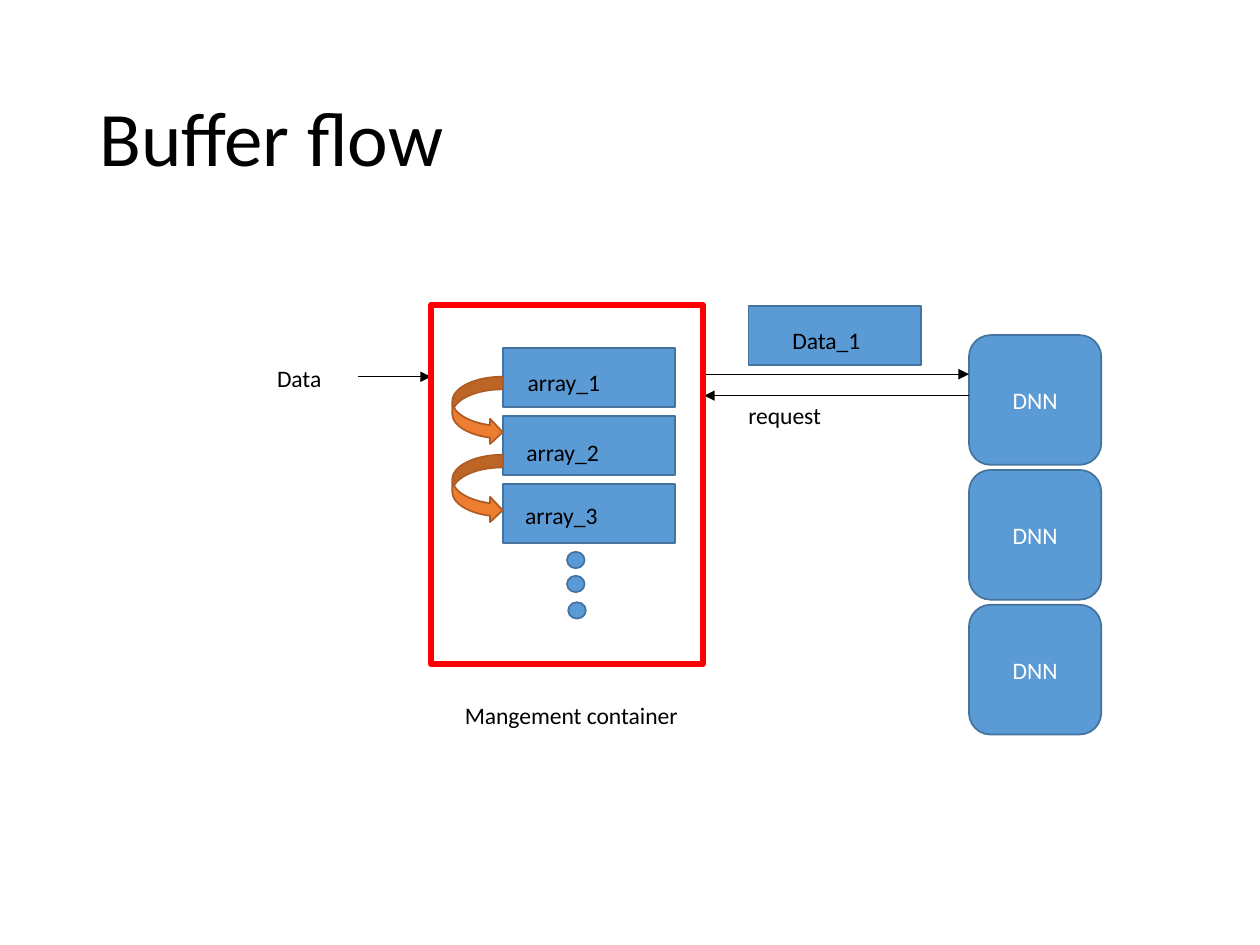
import pptx
import pptx.util
import pptx.dml.color
import pptx.enum.shapes
import pptx.enum.text
import pptx.oxml
import pptx.oxml.ns

Inches = pptx.util.Inches
Pt = pptx.util.Pt
RGB = pptx.dml.color.RGBColor.from_string
MSO = pptx.enum.shapes.MSO_SHAPE
ANCHOR = pptx.enum.text.MSO_ANCHOR
ALIGN = pptx.enum.text.PP_ALIGN

THEME = {
    "font": "Calibri", "title": 44, "body": 13.5,
    "text": "000000", "light": "FFFFFF",
    "blue": "5B9BD5", "blue_line": "43739E",
    "orange": "ED7D31", "orange_line": "AF5C24", "red": "FF0000",
}

prs = pptx.Presentation()
prs.slide_width, prs.slide_height = Inches(10), Inches(7.5)
s = prs.slides.add_slide(prs.slide_layouts[6])


def add_shape(kind, box, fill="blue", line="blue_line", width=1):
    sp = s.shapes.add_shape(kind, *map(Inches, box))
    sp.shadow.inherit = False
    if fill:
        sp.fill.solid()
        sp.fill.fore_color.rgb = RGB(THEME[fill])
    else:
        sp.fill.background()
    sp.line.color.rgb = RGB(THEME[line])
    sp.line.width = Pt(width)
    return sp


def write(sp, text, size="body", color="text", **frame):
    tf = sp.text_frame
    for name, value in frame.items():
        setattr(tf, name, value)
    p = tf.paragraphs[0]
    r = p.add_run()
    r.text = text
    font = {"name": THEME["font"], "size": Pt(THEME[size])}
    for name, value in font.items():
        setattr(r.font, name, value)
    r.font.color.rgb = RGB(THEME[color])
    return p


title = s.shapes.add_textbox(Inches(0.69), Inches(0.4), Inches(8.62), Inches(1.45))
p = write(title, "Buffer flow", "title", word_wrap=True, vertical_anchor=ANCHOR.MIDDLE)
p.line_spacing = 0.9

for i in range(3):
    add_shape(MSO.RECTANGLE, (3.99, 2.76 + 0.54 * i, 1.37, 0.47))
add_shape(MSO.RECTANGLE, (5.94, 2.43, 1.37, 0.47))

for top in (2.99, 3.61):
    add_shape(MSO.CURVED_RIGHT_ARROW, (3.59, top, 0.4, 0.54), "orange", "orange_line")

for i in range(3):
    dnn = add_shape(MSO.ROUNDED_RECTANGLE, (7.69, 2.66 + 1.07 * i, 1.05, 1.03))
    p = write(dnn, "DNN", color="light", vertical_anchor=ANCHOR.MIDDLE)
    p.alignment = ALIGN.CENTER

for x1, x2, y in ((2.84, 3.42, 2.99), (7.69, 5.59, 3.14), (5.59, 7.69, 2.97)):
    arrow = s.shapes.add_connector(
        pptx.enum.shapes.MSO_CONNECTOR.STRAIGHT, Inches(x1), Inches(y), Inches(x2), Inches(y))
    arrow.line.color.rgb = RGB(THEME["text"])
    arrow.line.width = Pt(0.5)
    tail = pptx.oxml.parse_xml(
        f'<a:tailEnd {pptx.oxml.ns.nsdecls("a")} type="triangle"/>')
    arrow.line._get_or_add_ln().append(tail)
    effects = pptx.oxml.parse_xml(f'<a:effectLst {pptx.oxml.ns.nsdecls("a")}/>')
    arrow._element.spPr.append(effects)

add_shape(MSO.RECTANGLE, (3.42, 2.42, 2.16, 2.85), None, "red", 3)

for left, top in ((4.5, 4.38), (4.5, 4.57), (4.51, 4.78)):
    add_shape(MSO.OVAL, (left, top, 0.14, 0.13))

labels = (
    ("Data", 2.1, 2.84, 0.58),
    ("Mangement container", 3.59, 5.51, 1.91),
    ("request", 5.84, 3.13, 0.79),
    ("array_1", 4.09, 2.87, 0.8),
    ("array_2", 4.08, 3.43, 0.82),
    ("array_3", 4.07, 3.93, 0.82),
    ("Data_1", 6.19, 2.54, 0.82),
)
for text, left, top, width in labels:
    label = s.shapes.add_textbox(Inches(left), Inches(top), Inches(width), Inches(0.33))
    write(label, text, word_wrap=True)

prs.save("out.pptx")
